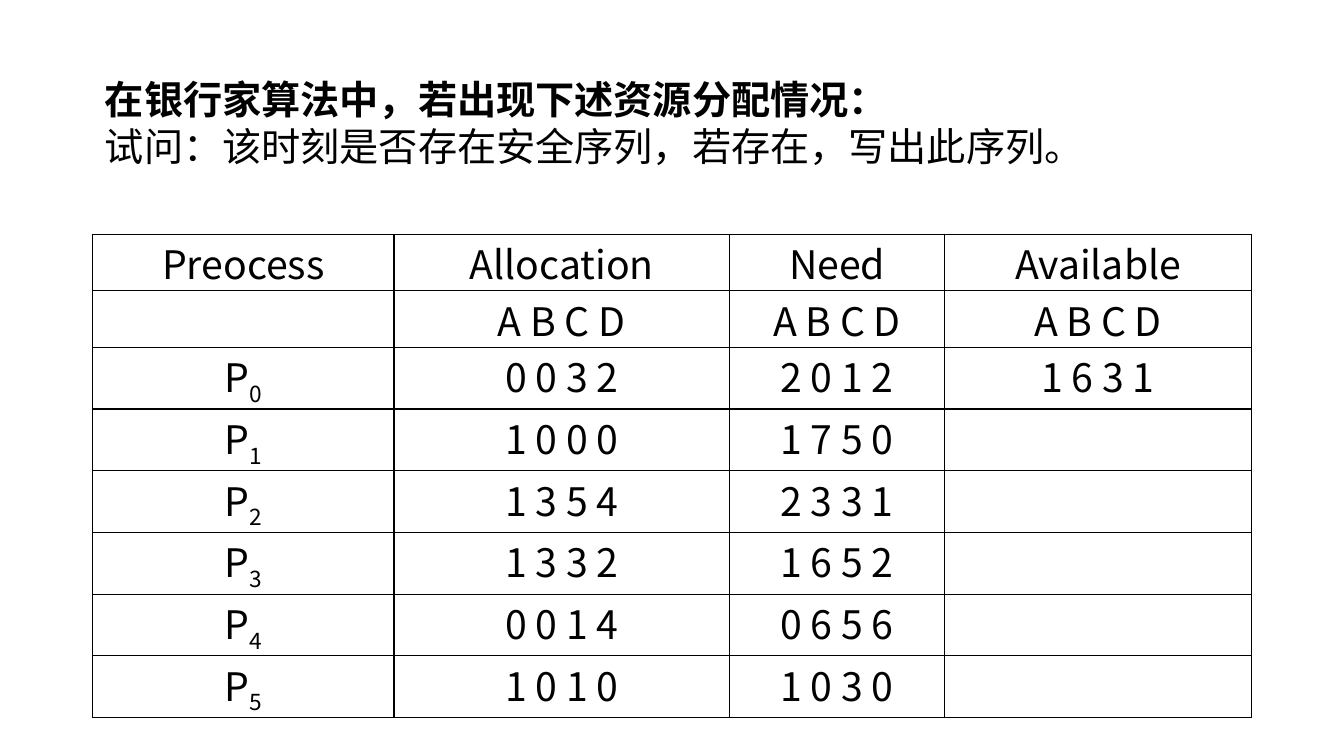
import pptx
import pptx.dml.color
import pptx.enum.text
import pptx.oxml
import pptx.oxml.ns
import pptx.util
import lxml.etree

Pt = pptx.util.Pt
BLACK = pptx.dml.color.RGBColor(0x00, 0x00, 0x00)
ALIGN = pptx.enum.text.PP_ALIGN
ANCHOR = pptx.enum.text.MSO_ANCHOR


def add_span(para, text, face, bold=False):
    span = para.add_run()
    span.text = text
    for name, value in {"name": face, "size": Pt(28), "bold": bold}.items():
        setattr(span.font, name, value)
    span.font.color.rgb = BLACK
    east = lxml.etree.SubElement(span.font._element, pptx.oxml.ns.qn("a:ea"))
    east.set("typeface", face)
    return span


def add_borders(cell):
    properties = cell._tc.get_or_add_tcPr()
    for position, side in enumerate(("lnL", "lnR", "lnT", "lnB")):
        border = pptx.oxml.parse_xml(
            f'<a:{side} {pptx.oxml.ns.nsdecls("a")} w="12700"><a:solidFill>'
            f'<a:srgbClr val="{BLACK}"/></a:solidFill></a:{side}>')
        properties.insert(position, border)


deck = pptx.Presentation()
deck.slide_width, deck.slide_height = Pt(960), Pt(540)
page = deck.slides.add_slide(deck.slide_layouts[5])

title = page.shapes.title
title_box = {"left": Pt(18.7), "top": Pt(36), "width": Pt(768.2), "height": Pt(101.5)}
for name, value in title_box.items():
    setattr(title, name, value)
frame = title.text_frame
frame_format = {
    "margin_left": Pt(7.2), "margin_right": Pt(7.2),
    "margin_top": Pt(17.2), "margin_bottom": Pt(16.6),
    "word_wrap": True, "vertical_anchor": ANCHOR.MIDDLE,
    "auto_size": pptx.enum.text.MSO_AUTO_SIZE.SHAPE_TO_FIT_TEXT,
}
for name, value in frame_format.items():
    setattr(frame, name, value)

title_lines = [
    ("在银行家算法中，若出现下述资源分配情况：", True),
    ("试问：该时刻是否存在安全序列，若存在，写出此序列。", False),
]
for index, (text, bold) in enumerate(title_lines):
    para = frame.add_paragraph() if index else frame.paragraphs[0]
    para.alignment = ALIGN.LEFT
    para.line_spacing = Pt(33.8)
    para_properties = para._p.get_or_add_pPr()
    para_properties.set("marL", str(Pt(49)))
    para_properties.set("indent", "0")
    add_span(para, text, "Arial", bold)

rows = [
    ("Preocess", "Allocation", "Need", "Available"),
    ("", "A B C D", "A B C D", "A B C D"),
    ("P0", "0 0 3 2", "2 0 1 2", "1 6 3 1"),
    ("P1", "1 0 0 0", "1 7 5 0", ""),
    ("P2", "1 3 5 4", "2 3 3 1", ""),
    ("P3", "1 3 3 2", "1 6 5 2", ""),
    ("P4", "0 0 1 4", "0 6 5 6", ""),
    ("P5", "1 0 1 0", "1 0 3 0", ""),
]
widths = [215.2, 239.8, 153.4, 219.6]
heights = [40.3] * 2 + [44.1] * 6
table = page.shapes.add_table(
    len(rows), len(widths), Pt(66.2), Pt(167.5), Pt(sum(widths)), Pt(sum(heights))).table
table.first_row = False
table.horz_banding = False
for column, width in zip(table.columns, widths):
    column.width = Pt(width)

cell_format = {"margin_left": Pt(5), "margin_right": Pt(5), "margin_top": 0, "margin_bottom": 0}
for row_index, texts in enumerate(rows):
    table.rows[row_index].height = Pt(heights[row_index])
    for column_index, text in enumerate(texts):
        cell = table.cell(row_index, column_index)
        for name, value in cell_format.items():
            setattr(cell, name, value)
        cell.fill.background()
        add_borders(cell)
        para = cell.text_frame.paragraphs[0]
        para.alignment = ALIGN.CENTER
        is_process = row_index > 1 and column_index == 0
        parts = list(text) if is_process else [text] if text else []
        for part in parts:
            span = add_span(para, part, "Noto Sans CJK SC")
            if is_process and part.isdigit():
                span.font._element.set("baseline", "-25000")

deck.save("out.pptx")
